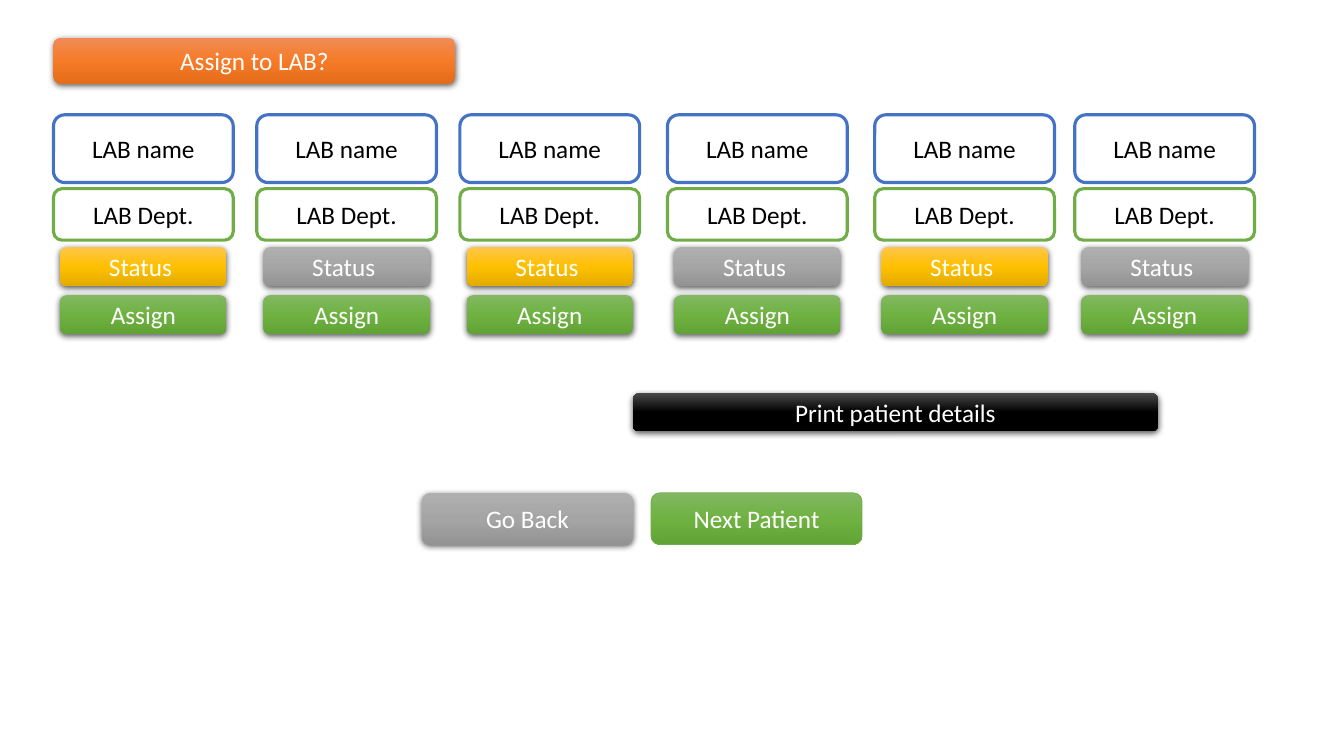
from pptx import Presentation, oxml
from pptx import util as u
from pptx.dml import color
from pptx.enum import shapes, text
from pptx.oxml import ns

COLORS = {"white": "FFFFFF", "black": "000000", "blue": "4472C4", "green": "70AD47"}
GRADIENTS = {
    "orange": ("F18C57", "F67B28", "E56C19"),
    "amber": ("FFC64B", "FFC000", "E3AB00"),
    "gray": ("AFAFAF", "A5A5A5", "939393"),
    "green": ("81B861", "6FB242", "62A336"),
    "black": ("4B4B4B", "000000", "000000"),
}
FONT, FONT_SIZE = "Calibri", 18
LAB_LEFTS = (38.2, 183.4, 328.5, 476.8, 624.8, 767.7)
LAB_TOP, LAB_WIDTH = 82, 128.4


def rgb(name):
    """Return the palette colour of the given name."""
    return color.RGBColor.from_string(COLORS[name])


def add_box(slide, box, label, ink):
    """Add a rounded box with a centred label and no shadow."""
    shape = slide.shapes.add_shape(
        shapes.MSO_SHAPE.ROUNDED_RECTANGLE, *(u.Pt(length) for length in box))
    shape.shadow.inherit = False
    frame = shape.text_frame
    frame.word_wrap = True
    frame.vertical_anchor = text.MSO_ANCHOR.MIDDLE
    para = frame.paragraphs[0]
    para.text = label
    para.alignment = text.PP_ALIGN.CENTER
    para.font.name = FONT
    para.font.size = u.Pt(FONT_SIZE)
    para.font.color.rgb = rgb(ink)
    return shape


def set_line(shape, name, width):
    """Draw a solid outline around the shape."""
    shape.line.color.rgb = rgb(name)
    shape.line.width = u.Pt(width)


def add_card(slide, box, label, outline):
    """Add a white box with a coloured outline."""
    card = add_box(slide, box, label, "black")
    card.fill.solid()
    card.fill.fore_color.rgb = rgb("white")
    set_line(card, outline, 2.25)


def add_button(slide, box, label, gradient, outline=None):
    """Add a gradient button, outlined if a colour is given and shadowed if not."""
    button = add_box(slide, box, label, "white")
    properties = button.element.spPr
    stops = "".join(
        f'<a:gs pos="{index * 50000}"><a:srgbClr val="{value}"/></a:gs>'
        for index, value in enumerate(GRADIENTS[gradient]))
    properties.insert(2, oxml.parse_xml(
        f'<a:gradFill {ns.nsdecls("a")} rotWithShape="1"><a:gsLst>{stops}</a:gsLst>'
        '<a:lin ang="5400000" scaled="0"/></a:gradFill>'))
    if outline:
        set_line(button, outline, 0.5)
        return
    button.line.fill.background()
    properties.find(ns.qn("a:effectLst")).append(oxml.parse_xml(
        f'<a:outerShdw {ns.nsdecls("a")} blurRad="{u.Pt(4.5)}" dist="{u.Pt(1.5)}" '
        f'dir="5400000" algn="ctr" rotWithShape="0"><a:srgbClr val="{COLORS["black"]}">'
        '<a:alpha val="63000"/></a:srgbClr></a:outerShdw>'))


def add_lab(slide, left, top, width, status):
    """Add one lab column: name, department, status and assign button."""
    inset = 4.8
    add_card(slide, (left, top, width, 48.4), "LAB name", "blue")
    add_card(slide, (left, top + 52.8, width, 36.8), "LAB Dept.", "green")
    for offset, label, gradient in ((94.6, "Status ", status), (128.9, "Assign", "green")):
        add_button(slide, (left + inset, top + offset, width - 2 * inset, 27.6),
                   label, gradient)


def add_navigation(slide, left, top, width, height):
    """Add the back and next buttons side by side."""
    gap = 13
    button_width = (width - gap) / 2
    add_button(slide, (left, top, button_width, height), "Go Back", "gray")
    add_button(slide, (left + button_width + gap, top, button_width, height),
               "Next Patient", "green", "green")


def build_slide(deck):
    """Add the lab assignment slide."""
    slide = deck.slides.add_slide(deck.slide_layouts[6])
    add_button(slide, (38.2, 26.9, 287, 32.8), "Assign to LAB?", "orange")
    for index, left in enumerate(LAB_LEFTS):
        add_lab(slide, left, LAB_TOP, LAB_WIDTH, ("amber", "gray")[index % 2])
    add_button(slide, (452.1, 280.6, 375, 27.6), "Print patient details", "black")
    add_navigation(slide, 301.4, 352, 314.4, 37)


def main():
    """Build and save the deck."""
    deck = Presentation()
    deck.slide_width, deck.slide_height = u.Pt(960), u.Pt(540)
    build_slide(deck)
    deck.save("out.pptx")


if __name__ == "__main__":
    main()
